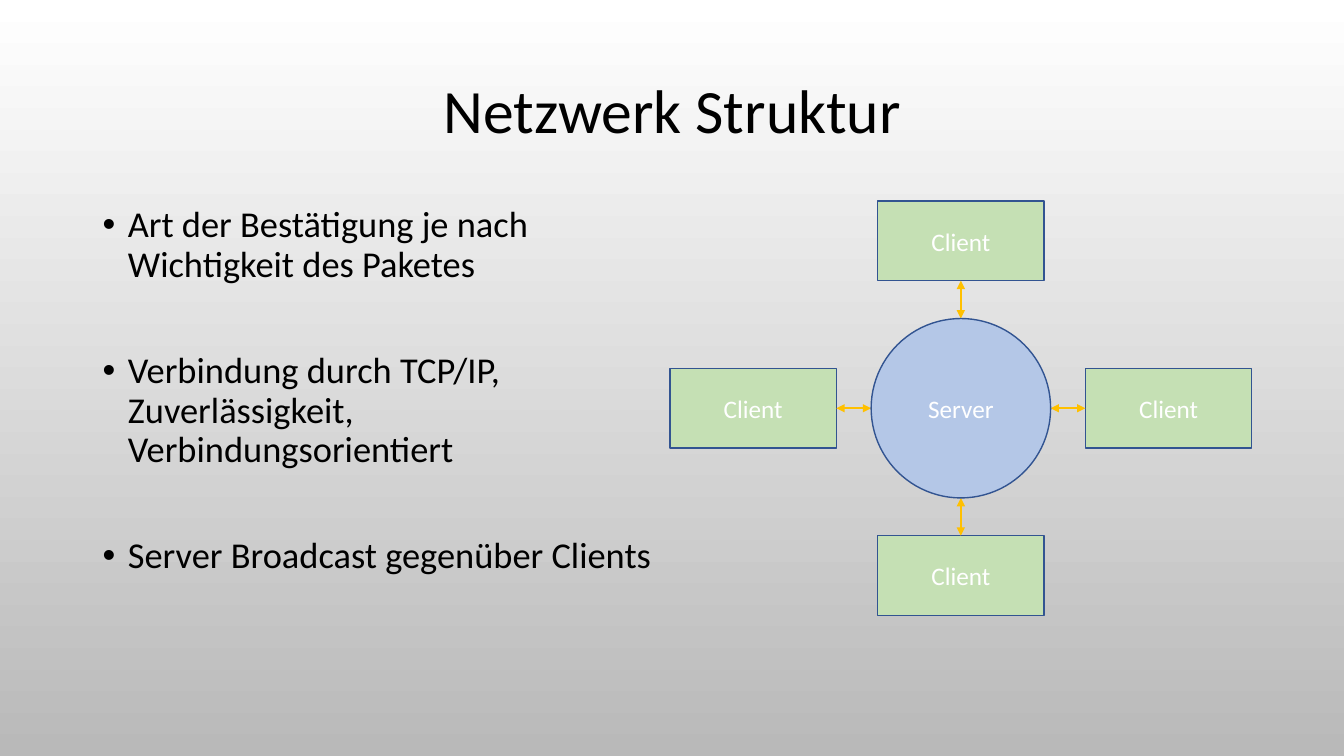
from dataclasses import dataclass

from lxml.etree import SubElement
from pptx import Presentation
from pptx.dml.color import RGBColor
from pptx.enum.shapes import MSO_CONNECTOR, MSO_SHAPE
from pptx.enum.text import MSO_ANCHOR, PP_ALIGN
from pptx.oxml.ns import qn
from pptx.shapes.autoshape import Shape
from pptx.slide import Slide
from pptx.text.text import TextFrame, _Paragraph
from pptx.util import Inches, Pt

FONT = "Calibri"
BLACK = RGBColor(0x00, 0x00, 0x00)
WHITE = RGBColor(0xFF, 0xFF, 0xFF)
GRAY = RGBColor(0xB9, 0xB9, 0xB9)
GREEN = RGBColor(0xC5, 0xE0, 0xB4)
BLUE = RGBColor(0xB4, 0xC7, 0xE7)
OUTLINE = RGBColor(0x32, 0x54, 0x91)
GOLD = RGBColor(0xFF, 0xC0, 0x00)

# Lengths in inches
SERVER_X, SERVER_Y = 9.53, 4.05
SERVER_SIZE = 1.78
CLIENT_WIDTH, CLIENT_HEIGHT = 1.65, 0.79
CLIENT_DISTANCE_X, CLIENT_DISTANCE_Y = 2.06, 1.66

BULLETS = [
    "Art der Bestätigung je nach Wichtigkeit des Paketes",
    "Verbindung durch TCP/IP, Zuverlässigkeit, Verbindungsorientiert",
    "Server Broadcast gegenüber Clients",
]


@dataclass(frozen=True)
class Client:
    """Direction seen from the server, and the side that faces it."""
    direction_x: int
    direction_y: int
    facing_side: int


CLIENTS = [Client(1, 0, 1), Client(0, 1, 0), Client(0, -1, 2), Client(-1, 0, 3)]


def format_text(paragraph: _Paragraph, size: float, color: RGBColor) -> None:
    for run in paragraph.runs:
        run.font.name = FONT
        run.font.size = Pt(size)
        run.font.color.rgb = color


def add_text_frame(slide: Slide, left: float, top: float,
                   width: float, height: float) -> TextFrame:
    box = slide.shapes.add_textbox(Inches(left), Inches(top), Inches(width), Inches(height))
    box.text_frame.word_wrap = True
    return box.text_frame


def add_title(slide: Slide, text: str) -> None:
    text_frame = add_text_frame(slide, 0.92, 0.4, 11.5, 1.45)
    text_frame.vertical_anchor = MSO_ANCHOR.MIDDLE
    text_frame.text = text
    paragraph = text_frame.paragraphs[0]
    paragraph.alignment = PP_ALIGN.CENTER
    paragraph.line_spacing = 0.9
    format_text(paragraph, 44, BLACK)


def add_bullets(slide: Slide, bullets: list[str]) -> None:
    text_frame = add_text_frame(slide, 0.92, 2, 5.67, 4.76)
    text_frame.text = "\n".join(bullets)
    for index, paragraph in enumerate(text_frame.paragraphs):
        paragraph.line_spacing = 0.9
        paragraph.space_before = Pt(48 if index else 10)
        format_text(paragraph, 26, BLACK)
        properties = paragraph._p.get_or_add_pPr()
        properties.set("marL", str(Inches(0.25)))
        properties.set("indent", str(Inches(-0.25)))
        SubElement(properties, qn("a:buFont"), typeface="Arial")
        SubElement(properties, qn("a:buChar"), char="•")


def add_node(slide: Slide, kind: MSO_SHAPE, text: str, center_x: float, center_y: float,
             width: float, height: float, color: RGBColor) -> Shape:
    """Add a labelled network node around its center."""
    node = slide.shapes.add_shape(
        kind, Inches(center_x - width / 2), Inches(center_y - height / 2),
        Inches(width), Inches(height))
    node.shadow.inherit = False
    node.fill.solid()
    node.fill.fore_color.rgb = color
    node.line.color.rgb = OUTLINE
    node.line.width = Pt(1)
    node.text_frame.vertical_anchor = MSO_ANCHOR.MIDDLE
    node.text_frame.text = text
    paragraph = node.text_frame.paragraphs[0]
    paragraph.alignment = PP_ALIGN.CENTER
    format_text(paragraph, 18, WHITE)
    return node


def add_client(slide: Slide, client: Client) -> None:
    """Add a client and its double arrow to the server."""
    node = add_node(
        slide, MSO_SHAPE.FLOWCHART_PROCESS, "Client",
        SERVER_X + client.direction_x * CLIENT_DISTANCE_X,
        SERVER_Y + client.direction_y * CLIENT_DISTANCE_Y,
        CLIENT_WIDTH, CLIENT_HEIGHT, GREEN)
    server_edge_x = Inches(SERVER_X + client.direction_x * SERVER_SIZE / 2)
    server_edge_y = Inches(SERVER_Y + client.direction_y * SERVER_SIZE / 2)
    arrow = slide.shapes.add_connector(
        MSO_CONNECTOR.STRAIGHT, node.left, node.top, server_edge_x, server_edge_y)
    arrow.begin_connect(node, client.facing_side)
    arrow.line.color.rgb = GOLD
    arrow.line.width = Pt(1.5)
    line = arrow.line._get_or_add_ln()
    for end in ("a:headEnd", "a:tailEnd"):
        SubElement(line, qn(end), type="triangle")
    SubElement(arrow._element.spPr, qn("a:effectLst"))


def set_background(slide: Slide) -> None:
    fill = slide.background.fill
    fill.gradient()
    fill.gradient_angle = 270
    for stop, color in zip(fill.gradient_stops, (WHITE, GRAY)):
        stop.color.rgb = color


def main() -> None:
    presentation = Presentation()
    presentation.slide_width = Inches(13.33)
    presentation.slide_height = Inches(7.5)
    slide = presentation.slides.add_slide(presentation.slide_layouts[6])
    set_background(slide)
    add_title(slide, "Netzwerk Struktur")
    add_bullets(slide, BULLETS)
    for client in CLIENTS:
        add_client(slide, client)
    add_node(slide, MSO_SHAPE.OVAL, "Server", SERVER_X, SERVER_Y,
             SERVER_SIZE, SERVER_SIZE, BLUE)
    presentation.save("out.pptx")


if __name__ == "__main__":
    main()
